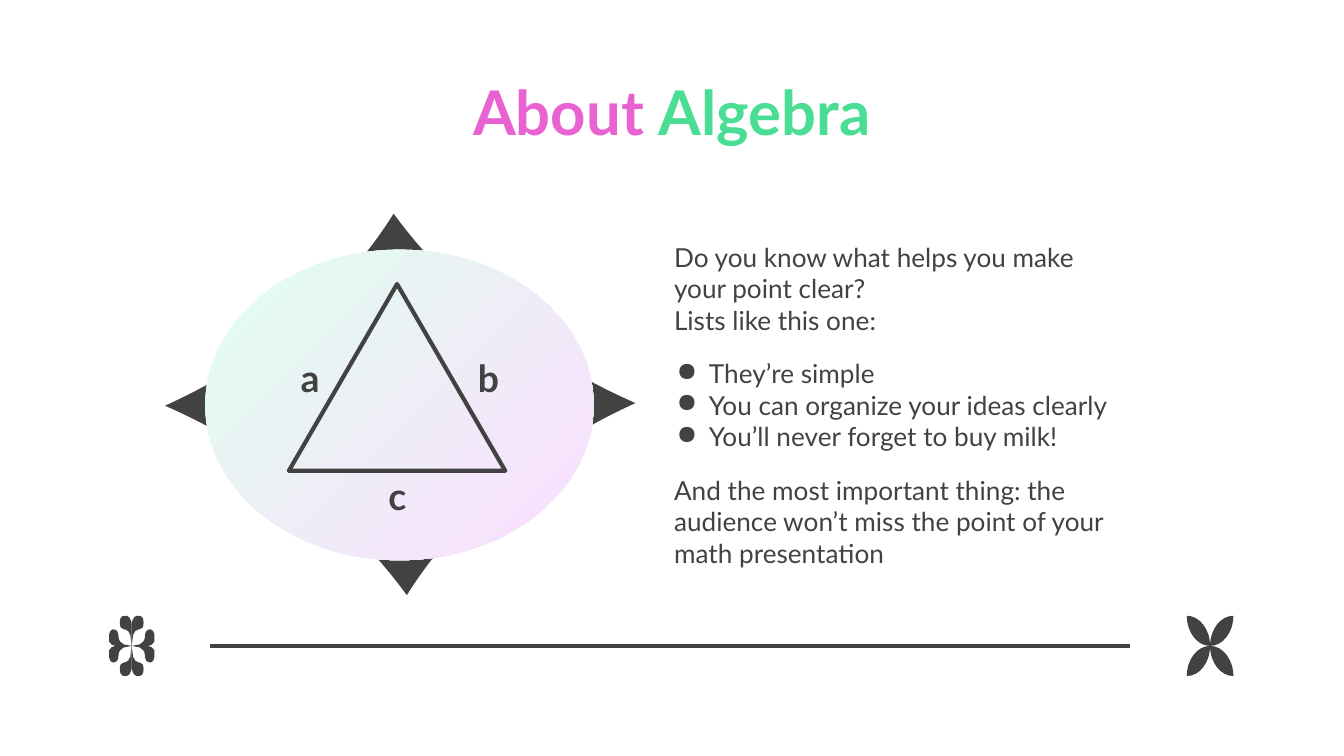
from itertools import product
from lxml.etree import SubElement as Sub
from pptx import Presentation
from pptx.dml.color import RGBColor as RGB
from pptx.enum.shapes import MSO_CONNECTOR as Link, MSO_SHAPE as Form
from pptx.enum.text import MSO_ANCHOR as Anchor, MSO_AUTO_SIZE as Fit, PP_ALIGN as Align
from pptx.oxml.ns import qn
from pptx.util import Cm, Pt

DARK = RGB(0x42, 0x42, 0x42)
PINK = RGB(0xE9, 0x62, 0xD1)
GREEN = RGB(0x49, 0xDE, 0x93)
MINT = RGB(0xE0, 0xFF, 0xEE)
ROSE = RGB(0xFB, 0xDD, 0xFF)
BODY = {"name": "Lato", "size": Pt(14), "bold": False}
LABEL = {"name": "Lato", "size": Pt(20), "bold": True}
HEAD = {"name": "Lato", "size": Pt(33), "bold": True}
FRAME = {"word_wrap": True, "auto_size": Fit.NONE, "vertical_anchor": Anchor.MIDDLE,
         "margin_left": Cm(0.25), "margin_right": Cm(0.25),
         "margin_top": Cm(0.25), "margin_bottom": Cm(0.25)}

PETAL = [[(0, 0)], [(0, 0.55), (0.45, 1), (1, 1)], [(1, 0.45), (0.55, 0), (0, 0)]]
TALL = [[(0.29, 1)], [(0.46, 1), (0.51, 0.91), (0.51, 0.77)],
        [(0.51, 0.64), (0.46, 0.55), (0.34, 0.55)], [(0.29, 0.55)],
        [(0.17, 0.55), (0.11, 0.45), (0.06, 0.36)], [(0, 0)], [(0, 0.68)],
        [(0, 0.82), (0.06, 0.91), (0.11, 0.95)], [(0.17, 1), (0.23, 1), (0.29, 1)]]
WIDE = [[(0.8, 0.55)], [(0.91, 0.55), (1, 0.41), (0.97, 0.27)], [(0.97, 0.14)],
        [(0.91, 0.05), (0.8, 0), (0.69, 0)], [(0, 0)], [(0.34, 0.05)],
        [(0.46, 0.09), (0.57, 0.18), (0.57, 0.32)],
        [(0.57, 0.45), (0.63, 0.55), (0.8, 0.55)]]
SPAN = (8.89, 7.21)
HALF = [[(3.35, 1.55), (1.85, 2.79), (0, 3.63)], [(1.91, 4.47), (3.48, 5.72), (4.57, 7.21)]]
STAR = [[(4.32, 0)], *HALF, *[[(SPAN[0] - x, SPAN[1] - y) for x, y in seg] for seg in HALF]]


def style(obj, look):
    for key, val in look.items():
        setattr(obj, key, val)


def outline(shapes, segs, x, y, w, h):
    segs = [[(Cm(x + w * u), Cm(y + h * v)) for u, v in seg] for seg in segs]
    ends = [seg[-1] for seg in segs]
    pen = shapes.build_freeform(*ends[0], scale=1.0)
    pen.add_line_segments(ends[1:], close=False)
    shape = pen.convert_to_shape()
    left, top = (min(axis) for axis in zip(*ends))
    lines = list(shape._element.iter(qn("a:lnTo")))
    for line, seg in zip(lines, segs[1:]):
        if len(seg) == 3:
            line.tag = qn("a:cubicBezTo")
            line.remove(line[0])
            for px, py in seg:
                Sub(line, qn("a:pt"), x=str(px - left), y=str(py - top))
    Sub(lines[0].getparent(), qn("a:close"))
    shape.shadow.inherit = False
    shape.fill.solid()
    shape.fill.fore_color.rgb = DARK
    shape.line.fill.background()


def write(para, text, look, color):
    run = para.add_run()
    run.text = text
    style(run.font, look)
    run.font.color.rgb = color


def title(slide, x, y, w, h):
    box = slide.shapes.title
    style(box, {"left": Cm(x), "top": Cm(y), "width": Cm(w), "height": Cm(h)})
    style(box.text_frame, FRAME)
    para = box.text_frame.paragraphs[0]
    para.alignment = Align.CENTER
    write(para, "About ", HEAD, PINK)
    write(para, "Algebra", HEAD, GREEN)


def footer(shapes, x, y, w, h):
    rx, ry = 0.44, h / 2
    mid = y + ry
    for cx, parts in ((x + rx, (TALL, WIDE)), (x + w - rx, (PETAL,))):
        for sx, sy, part in product((-1, 1), (-1, 1), parts):
            outline(shapes, part, cx, mid, sx * rx, sy * ry)
    rule = shapes.add_connector(Link.STRAIGHT, Cm(x + 1.91), Cm(mid), Cm(x + w - 1.95), Cm(mid))
    rule.line.color.rgb = DARK
    rule.line.width = Pt(2.25)
    Sub(rule._element.spPr, qn("a:effectLst"))


def figure(shapes, x, y, w, h):
    outline(shapes, STAR, x, y, w / SPAN[0], h / SPAN[1])
    oval = shapes.add_shape(Form.OVAL, Cm(x + 0.76), Cm(y + 0.68), Cm(7.34), Cm(5.87))
    oval.shadow.inherit = False
    oval.line.fill.background()
    oval.fill.gradient()
    oval.fill.gradient_angle = 315
    for stop, color, pos in zip(oval.fill.gradient_stops, (MINT, ROSE), (0, 1)):
        stop.color.rgb = color
        stop.position = pos
    tri = shapes.add_shape(Form.ISOSCELES_TRIANGLE, Cm(x + 2.34), Cm(y + 1.33), Cm(4.09), Cm(3.53))
    tri.shadow.inherit = False
    tri.fill.background()
    tri.line.color.rgb = DARK
    tri.line.width = Pt(2.25)
    Sub(tri._element.spPr.find(qn("a:ln")), qn("a:round"))
    for text, dx, dy in (("a", 2.18, 2.53), ("b", 5.55, 2.53), ("c", 3.83, 4.75)):
        frame = shapes.add_textbox(Cm(x + dx), Cm(y + dy), Cm(1.12), Cm(1.14)).text_frame
        style(frame, FRAME)
        para = frame.paragraphs[0]
        para.alignment = Align.CENTER
        write(para, text, LABEL, DARK)


def bullet(para):
    props = para._p.get_or_add_pPr()
    props.set("marL", str(Cm(0.66)))
    props.set("indent", str(Cm(-0.61)))
    tint = Sub(props, qn("a:buClr"))
    Sub(tint, qn("a:srgbClr"), val=str(DARK))
    Sub(props, qn("a:buChar"), char="●")


def body(shapes, x, y, w, h):
    frame = shapes.add_textbox(Cm(x), Cm(y), Cm(w), Cm(h)).text_frame
    style(frame, FRAME)
    para = frame.paragraphs[0]
    write(para, "Do you know what helps you make your point clear?", BODY, DARK)
    para.add_line_break()
    Sub(para._p.find(qn("a:br")), qn("a:rPr"), sz="1400")
    write(para, "Lists like this one:", BODY, DARK)
    items = ("They’re simple", "You can organize your ideas clearly",
             "You’ll never forget to buy milk!")
    for n, text in enumerate(items):
        para = frame.add_paragraph()
        bullet(para)
        para.space_before = Pt(0 if n else 12)
        write(para, text, BODY, DARK)
    para = frame.add_paragraph()
    style(para, {"space_before": Pt(12), "space_after": Pt(12)})
    write(para, "And the most important thing: the audience won’t miss "
          "the point of your math presentation", BODY, DARK)


def main():
    deck = Presentation()
    style(deck, {"slide_width": Cm(25.4), "slide_height": Cm(14.29)})
    slide = deck.slides.add_slide(deck.slide_layouts[5])
    footer(slide.shapes, 2.05, 11.64, 21.26, 1.14)
    figure(slide.shapes, 3.12, 4.04, 8.89, 7.21)
    body(slide.shapes, 12.49, 4.41, 9.02, 6.48)
    title(slide, 2.06, 1.3, 21.28, 1.6)
    deck.save("out.pptx")


if __name__ == "__main__":
    main()
